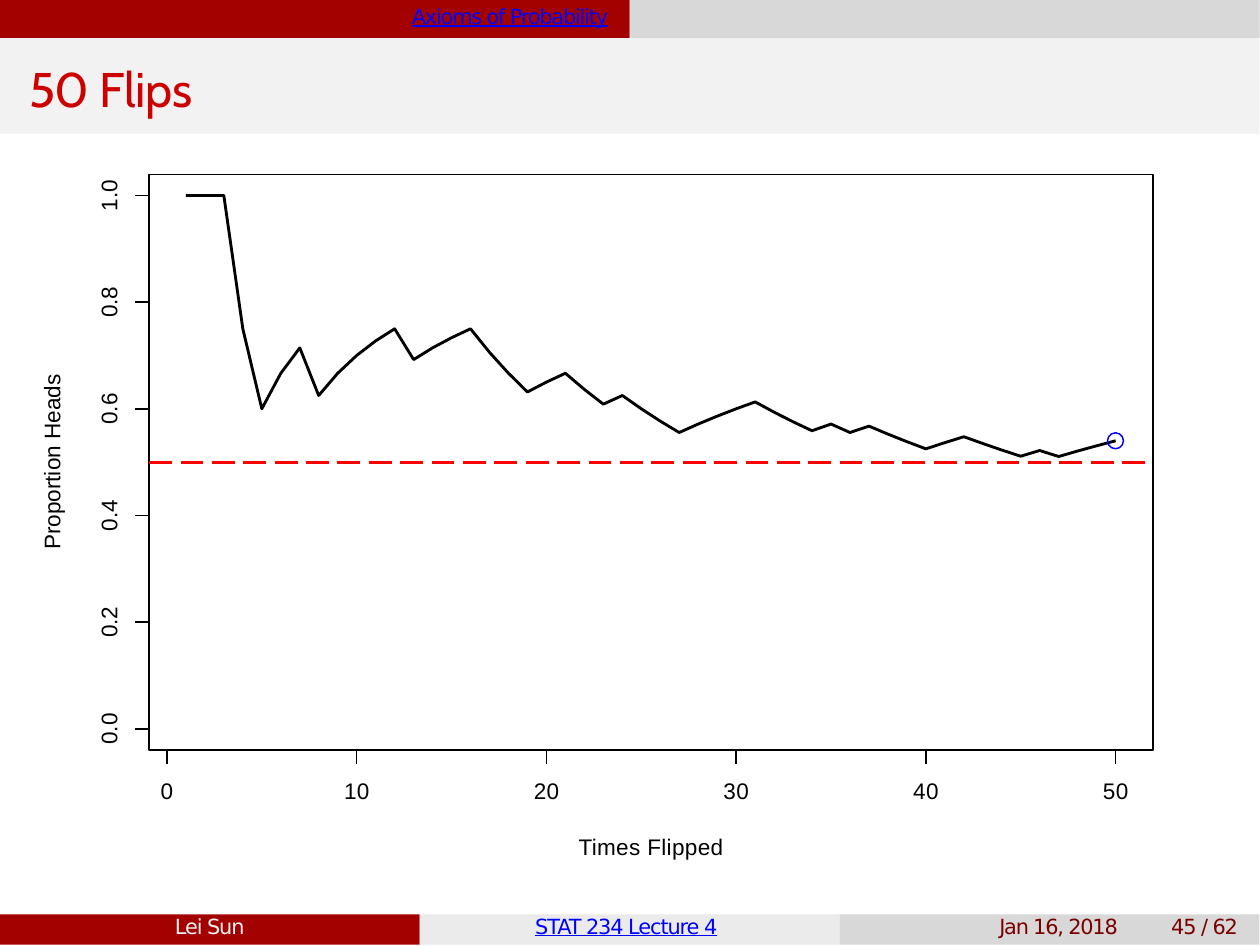
from itertools import accumulate

from lxml.etree import SubElement
from pptx import Presentation
from pptx.dml.color import RGBColor
from pptx.enum.dml import MSO_LINE_DASH_STYLE as Dash
from pptx.enum.shapes import MSO_CONNECTOR as Link
from pptx.enum.shapes import MSO_SHAPE as Shape
from pptx.enum.text import MSO_ANCHOR as Anchor
from pptx.enum.text import MSO_AUTO_SIZE as Fit
from pptx.enum.text import PP_ALIGN as Align
from pptx.oxml.ns import qn
from pptx.util import Pt

SIZE = (363, 272.5)
WIDE, HIGH = 362.88, 272.16
HALF, THIRD = WIDE / 2, WIDE / 3
HEAD, FOOT = 11, 263.4
TITLE = "50 Flips"
FLIPS = "HHHTTHHTHH" "HHTHHHTTTH" "HTTHTTTHHH" "HTTTHTHTTT" "HHTTTHTHHH"
BANDS = [
    (0, 0, HALF, HEAD, "A30000"),
    (HALF, 0, HALF, HEAD, "D8D8D8"),
    (0, HEAD, WIDE, 27.6, "F2F2F2"),
    (0, FOOT, THIRD, HIGH - FOOT, "A30000"),
    (THIRD, FOOT, THIRD, HIGH - FOOT, "EBEBEB"),
    (2 * THIRD, FOOT, THIRD, HIGH - FOOT, "D8D8D8"),
]
NOTES = [
    ("Axioms of Probability", 118.7, 1.5, 60, "0000FF", True, -35),
    ("Lei Sun", 50.4, 263.6, 24, "F2F2F2", False, -30),
    ("STAT 234 Lecture 4", 154.2, 263.6, 58, "0000FF", True, -30),
    ("Jan 16, 2018", 287.9, 263.6, 38, "7A0000", False, -35),
    ("45 / 62", 337.4, 263.6, 23, "7A0000", False, -30),
]
LEFT, TOP, RIGHT, BASE = 43, 50.2, 332.2, 216
ZERO, STEP = (48.1, 209.95), (5.466, -153.6)
TICK = 4.2
THIN, BOLD = 0.42, 0.83
ACROSS, UP = "Times Flipped", "Proportion Heads"
COUNTS = range(0, 51, 10)
SHARES = [n / 5 for n in range(6)]


def rgb(code):
    return RGBColor.from_string(code)


def spot(count, share):
    return ZERO[0] + STEP[0] * count, ZERO[1] + STEP[1] * share


def style(font, face, size, code, space=0):
    font.name, font.size = face, Pt(size)
    font.color.rgb = rgb(code)
    font._rPr.set("spc", str(space))


def trim(frame):
    frame.margin_left = frame.margin_right = 0
    frame.margin_top = frame.margin_bottom = 0
    frame.word_wrap = True
    frame.auto_size = Fit.NONE
    frame.vertical_anchor = Anchor.TOP


def stroke(line, code, width):
    line.color.rgb = rgb(code)
    line.width = Pt(width)


def form(slide, kind, left, top, wide, high):
    shape = slide.shapes.add_shape(kind, Pt(left), Pt(top), Pt(wide), Pt(high))
    shape.shadow.inherit = False
    shape.fill.background()
    shape.line.fill.background()
    return shape


def rule(slide, start, end, code="000000", width=THIN):
    ends = [Pt(part) for part in (*start, *end)]
    link = slide.shapes.add_connector(Link.STRAIGHT, *ends)
    SubElement(link._element.spPr, qn("a:effectLst"))
    stroke(link.line, code, width)
    return link


def write(slide, text, left, top, wide, high):
    box = slide.shapes.add_textbox(Pt(left), Pt(top), Pt(wide), Pt(high))
    trim(box.text_frame)
    para = box.text_frame.paragraphs[0]
    para.text = text
    return box, para


def note(slide, text, left, top, wide, code, under, space):
    para = write(slide, text, left, top, wide, 8)[1]
    para.line_spacing = Pt(6.9)
    style(para.font, "DejaVu Sans", 6, code, space)
    para.font.underline = under


def flat(slide, text, mid, top, wide):
    para = write(slide, text, mid - wide / 2, top, wide, 8.6)[1]
    para.alignment = Align.CENTER
    style(para.font, "Arial", 6.5, "000000", 10)


def tall(slide, text, left, mid, high):
    box, para = write(slide, text, left, mid - high / 2, 8.6, high)
    box.text_frame._txBody.bodyPr.set("vert", "vert270")
    para.alignment = Align.CENTER
    para.line_spacing = Pt(7.7)
    style(para.font, "Arial", 6.5, "000000")


def head(slide):
    title = slide.shapes.title
    title.left, title.top, title.width, title.height = Pt(8.4), Pt(17), Pt(347), Pt(18)
    trim(title.text_frame)
    para = title.text_frame.paragraphs[0]
    para.text = TITLE
    para.alignment = Align.LEFT
    style(para.font, "Cabin", 14, "CC0000", -15)
    tree = slide.shapes._spTree
    tree.remove(title._element)
    tree.append(title._element)


def curve(slide):
    heads = accumulate(flip == "H" for flip in FLIPS)
    dots = [spot(n, won / n) for n, won in enumerate(heads, 1)]
    first, *rest = [(Pt(x), Pt(y)) for x, y in dots]
    pen = slide.shapes.build_freeform(*first)
    pen.add_line_segments(rest, close=False)
    trace = pen.convert_to_shape()
    trace.shadow.inherit = False
    trace.fill.background()
    stroke(trace.line, "000000", BOLD)
    return dots[-1]


def axes(slide):
    rule(slide, (ZERO[0], BASE), (spot(50, 0)[0], BASE))
    for count in COUNTS:
        x = spot(count, 0)[0]
        rule(slide, (x, BASE), (x, BASE + TICK))
        flat(slide, str(count), x, 223.9, 9.5)
    rule(slide, (LEFT, ZERO[1]), (LEFT, spot(0, 1)[1]))
    for share in SHARES:
        y = spot(0, share)[1]
        rule(slide, (LEFT, y), (LEFT - TICK, y))
        tall(slide, f"{share:.1f}", 27.4, y, 11.5)
    frame = form(slide, Shape.RECTANGLE, LEFT, TOP, RIGHT - LEFT, BASE - TOP)
    stroke(frame.line, "000000", THIN)
    flat(slide, ACROSS, (LEFT + RIGHT) / 2, 239.8, 44)
    tall(slide, UP, 11, (TOP + BASE) / 2, 54)


def main():
    deck = Presentation()
    deck.slide_width, deck.slide_height = [Pt(side) for side in SIZE]
    slide = deck.slides.add_slide(deck.slide_layouts[5])
    for *sides, code in BANDS:
        bar = form(slide, Shape.RECTANGLE, *sides)
        bar.fill.solid()
        bar.fill.fore_color.rgb = rgb(code)
    head(slide)
    x, y = curve(slide)
    axes(slide)
    ring = form(slide, Shape.OVAL, x - 2.3, y - 2.3, 4.6, 4.6)
    stroke(ring.line, "0000FF", THIN)
    half = spot(0, 0.5)[1]
    mean = rule(slide, (LEFT, half), (RIGHT, half), "FF0000", BOLD)
    mean.line.dash_style = Dash.LONG_DASH
    for row in NOTES:
        note(slide, *row)
    deck.save("out.pptx")


if __name__ == "__main__":
    main()
